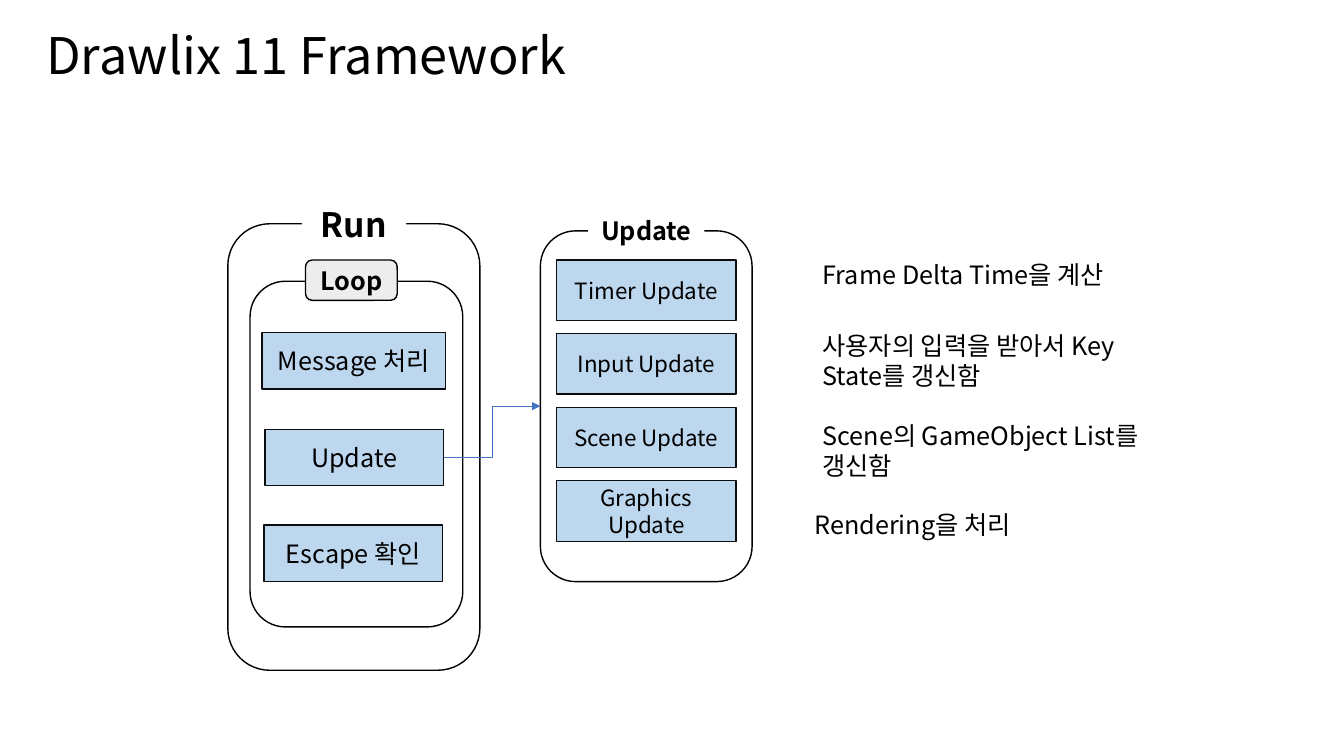
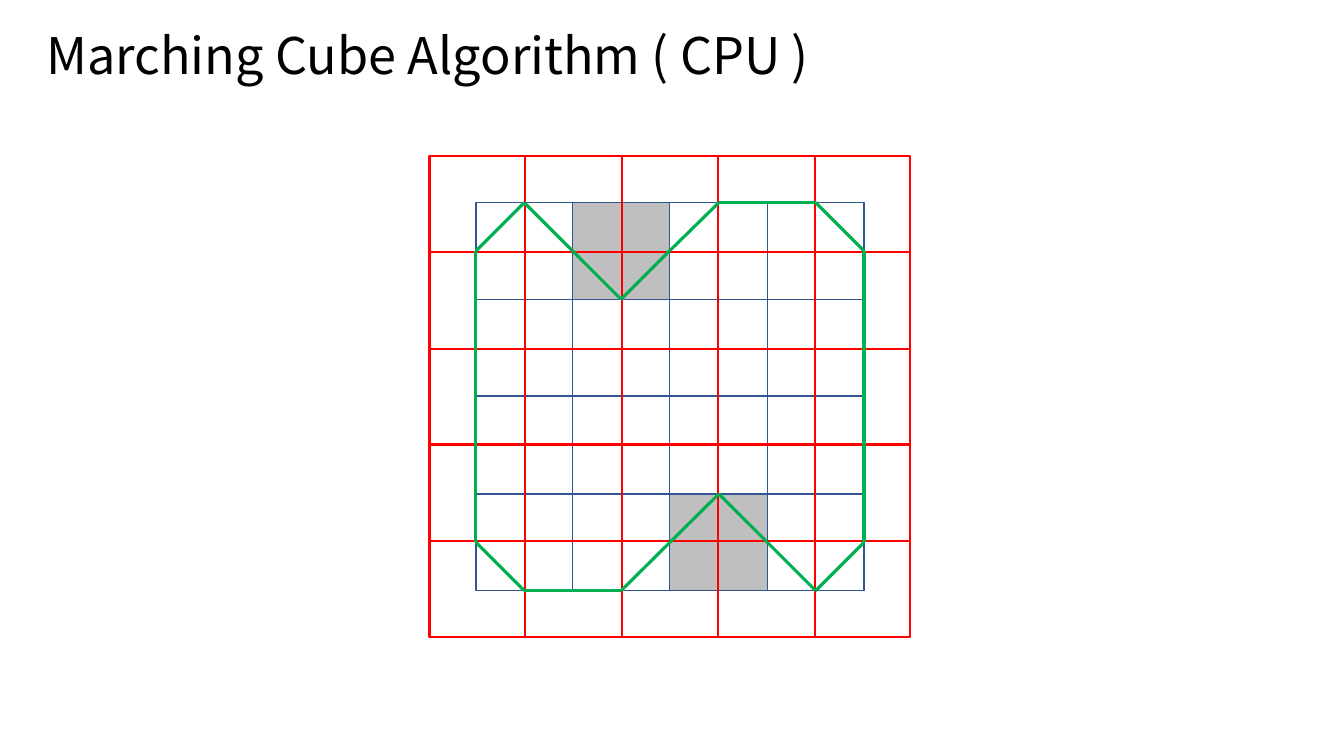
import dataclasses
import itertools
import typing

import lxml.etree
import pptx
import pptx.dml.color
import pptx.enum.shapes
import pptx.enum.text
import pptx.oxml.ns
import pptx.util

PX = 9144
FONT = "Noto Sans CJK KR"
COLORS = {
    "white": "FFFFFF",
    "black": "000000",
    "outline": "0D0D0D",
    "step": "BDD7EE",
    "tag": "EDEDED",
    "arrow": "4472C4",
    "cell_line": "325491",
    "marked_cell": "BFBFBF",
    "sample_grid": "FF0000",
    "contour": "00B050",
}
RECTANGLE = pptx.enum.shapes.MSO_SHAPE.RECTANGLE
ROUNDED = pptx.enum.shapes.MSO_SHAPE.ROUNDED_RECTANGLE
STRAIGHT = pptx.enum.shapes.MSO_CONNECTOR.STRAIGHT
ELBOW = pptx.enum.shapes.MSO_CONNECTOR.ELBOW
LEFT = pptx.enum.text.PP_ALIGN.LEFT
CENTER = pptx.enum.text.PP_ALIGN.CENTER
RIGHT_SITE, LEFT_SITE = 3, 1


@dataclasses.dataclass(frozen=True)
class Box:
    left: int
    top: int
    width: int
    height: int
    text: str = ""
    size: int = 18
    bold: bool = False
    fill: typing.Optional[str] = "white"
    line: str = "black"
    weight: float = 1
    kind: typing.Any = ROUNDED


@dataclasses.dataclass(frozen=True)
class Note:
    left: int
    top: int
    height: int
    text: str


@dataclasses.dataclass(frozen=True)
class Grid:
    left: int
    top: int
    extent: int
    count: int
    line: str
    weight: float
    fill: typing.Optional[str] = None
    marked: tuple = ()


def step(left: int, top: int, width: int, height: int, text: str, size: int = 18) -> Box:
    return Box(left, top, width, height, text, size, fill="step", line="outline", kind=RECTANGLE)


MESSAGE_STEP = step(260, 330, 182, 56, "Message 처리")
UPDATE_STEP = step(263, 426, 177, 56, "Update")
ESCAPE_STEP = step(262, 521, 177, 56, "Escape 확인")
UPDATE_PANEL = Box(536, 229, 210, 348)
UPDATE_NAMES = ("Timer", "Input", "Scene", "Graphics")
FRAMEWORK_BOXES = (
    Box(226, 222, 250, 443),
    Box(300, 202, 102, 40, "Run", 24, True, line="white"),
    Box(248, 279, 211, 343),
    MESSAGE_STEP,
    UPDATE_STEP,
    Box(303, 258, 91, 40, "Loop", bold=True, fill="tag"),
    ESCAPE_STEP,
    UPDATE_PANEL,
    Box(584, 209, 114, 40, "Update", bold=True, line="white"),
    *(step(552, 258 + 73 * row, 178, 60, f"{name} Update", 16)
      for row, name in enumerate(UPDATE_NAMES)),
)
NOTES = (
    Note(806, 252, 40, "Frame Delta Time을 계산"),
    Note(806, 323, 71, "사용자의 입력을 받아서 Key State를 갱신함"),
    Note(806, 412, 71, "Scene의 GameObject List를 갱신함"),
    Note(798, 500, 40, "Rendering을 처리"),
)
CELLS = Grid(472, 201, 385, 4, "cell_line", 1, "white", ((0, 1), (3, 2)))
SAMPLES = Grid(426, 155, 477, 5, "sample_grid", 1.5)
CONTOUR = (
    (1, 0), (2, 1), (3, 2), (4, 1), (5, 0), (7, 0), (8, 1),
    (8, 7), (7, 8), (5, 6), (3, 8), (1, 8), (0, 7), (0, 1),
)


def color(name: str) -> pptx.dml.color.RGBColor:
    return pptx.dml.color.RGBColor.from_string(COLORS[name])


def lengths(*values: int) -> tuple:
    return tuple(pptx.util.Emu(value * PX) for value in values)


def write(frame, text: str, size: int, align=LEFT, bold: bool = False):
    frame.word_wrap = True
    para = frame.paragraphs[0]
    para.text = text
    para.alignment = align
    para.font.name = FONT
    para.font.size = pptx.util.Pt(size)
    para.font.bold = bold
    para.font.color.rgb = color("black")
    defaults = para._p.pPr.find(pptx.oxml.ns.qn("a:defRPr"))
    lxml.etree.SubElement(defaults, pptx.oxml.ns.qn("a:ea"), typeface=FONT)
    return para


def add_page(deck, title: str, width: int):
    page = deck.slides.add_slide(deck.slide_layouts[5])
    heading = page.shapes.title
    heading.left, heading.top, heading.width, heading.height = lengths(36, 0, width, 115)
    heading.text_frame.vertical_anchor = pptx.enum.text.MSO_ANCHOR.MIDDLE
    write(heading.text_frame, title, 36).line_spacing = 0.9
    return page


def add_box(shapes, box: Box):
    shape = shapes.add_shape(box.kind, *lengths(box.left, box.top, box.width, box.height))
    shape.shadow.inherit = False
    if box.fill:
        shape.fill.solid()
        shape.fill.fore_color.rgb = color(box.fill)
    else:
        shape.fill.background()
    shape.line.color.rgb = color(box.line)
    shape.line.width = pptx.util.Pt(box.weight)
    if box.text:
        shape.text_frame.vertical_anchor = pptx.enum.text.MSO_ANCHOR.MIDDLE
        write(shape.text_frame, box.text, box.size, CENTER, box.bold)
    return shape


def add_note(shapes, note: Note) -> None:
    frame = shapes.add_textbox(*lengths(note.left, note.top, 342, note.height)).text_frame
    write(frame, note.text, 18)
    frame.auto_size = pptx.enum.text.MSO_AUTO_SIZE.SHAPE_TO_FIT_TEXT


def add_line(shapes, kind, start: tuple, end: tuple, line: str, weight: float):
    connector = shapes.add_connector(kind, *lengths(*start, *end))
    connector.line.color.rgb = color(line)
    connector.line.width = pptx.util.Pt(weight)
    lxml.etree.SubElement(connector._element.spPr, pptx.oxml.ns.qn("a:effectLst"))
    return connector


def add_grid(shapes, grid: Grid) -> None:
    group = shapes.add_group_shape()
    edges = [round(grid.extent * index / grid.count) for index in range(grid.count + 1)]
    for row, column in itertools.product(range(grid.count), repeat=2):
        add_box(group.shapes, Box(
            grid.left + edges[column],
            grid.top + edges[row],
            edges[column + 1] - edges[column],
            edges[row + 1] - edges[row],
            fill="marked_cell" if (row, column) in grid.marked else grid.fill,
            line=grid.line,
            weight=grid.weight,
            kind=RECTANGLE,
        ))


def add_framework_page(deck) -> None:
    page = add_page(deck, "Drawlix 11 Framework", 654)
    shapes = {box: add_box(page.shapes, box) for box in FRAMEWORK_BOXES}
    arrow = add_line(page.shapes, ELBOW, (440, 454), (536, 403), "arrow", 0.5)
    arrow.begin_connect(shapes[UPDATE_STEP], RIGHT_SITE)
    arrow.end_connect(shapes[UPDATE_PANEL], LEFT_SITE)
    lxml.etree.SubElement(
        arrow.line._get_or_add_ln(), pptx.oxml.ns.qn("a:tailEnd"), type="triangle")
    for note in NOTES:
        add_note(page.shapes, note)


def add_algorithm_page(deck) -> None:
    page = add_page(deck, "Marching Cube Algorithm ( CPU )", 864)
    for grid in (CELLS, SAMPLES):
        add_grid(page.shapes, grid)
    half = CELLS.extent / (2 * CELLS.count)
    points = [(CELLS.left + round(x * half), CELLS.top + round(y * half)) for x, y in CONTOUR]
    for start, end in zip(points, points[1:] + points[:1]):
        add_line(page.shapes, STRAIGHT, start, end, "contour", 2.25)


def main() -> None:
    deck = pptx.Presentation()
    deck.slide_width, deck.slide_height = lengths(1333, 750)
    add_framework_page(deck)
    add_algorithm_page(deck)
    deck.save("out.pptx")


if __name__ == "__main__":
    main()
